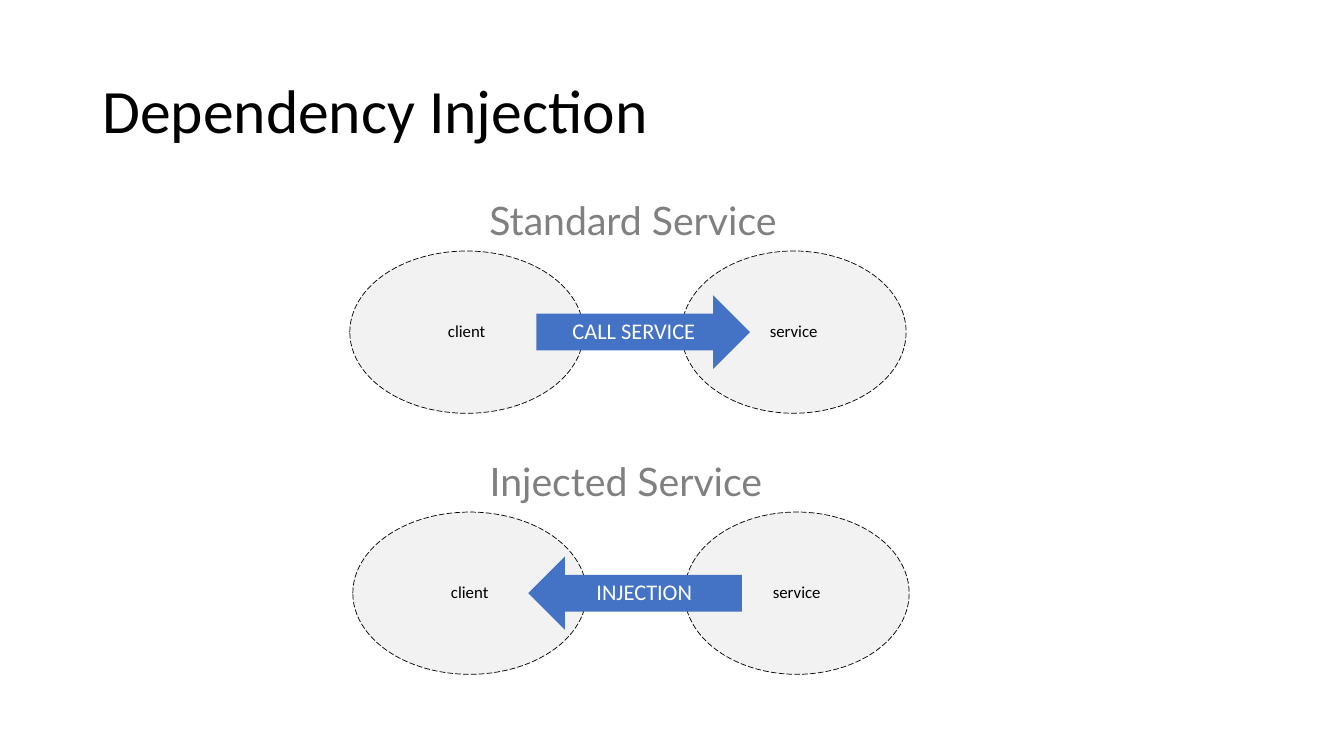
from dataclasses import dataclass

from pptx import Presentation
from pptx.dml.color import RGBColor
from pptx.enum.dml import MSO_LINE
from pptx.enum.shapes import MSO_SHAPE
from pptx.enum.text import MSO_ANCHOR, PP_ALIGN
from pptx.shapes.autoshape import Shape
from pptx.shapes.shapetree import GroupShapes
from pptx.slide import Slide
from pptx.util import Pt

ELLIPSE = MSO_SHAPE.OVAL
LEFT_ARROW = MSO_SHAPE.LEFT_ARROW
RIGHT_ARROW = MSO_SHAPE.RIGHT_ARROW
LONG_DASH = MSO_LINE.LONG_DASH
LEFT, CENTER = PP_ALIGN.LEFT, PP_ALIGN.CENTER
TOP, MIDDLE = MSO_ANCHOR.TOP, MSO_ANCHOR.MIDDLE

COLORS = {
    "ink": "000000",
    "heading": "808080",
    "bubble": "F2F2F2",
    "arrow": "4472C4",
    "arrow_text": "FFFFFF",
}
BODY_FONT, HEADING_FONT = "Calibri", "Lato"

# Lengths in points
CLIENT_WIDTH, SERVICE_WIDTH, BUBBLE_HEIGHT = 167.04, 160.56, 115.92
SERVICE_OFFSET = 236.88
ARROW_WIDTH, ARROW_HEIGHT = 152.64, 52.56
HEADING_WIDTH, HEADING_HEIGHT = 400.32, 41.04
SHAPE_MARGINS = (14.4, 11.52)
BOX_MARGINS = (7.2, 3.6)


@dataclass(frozen=True)
class Diagram:
    heading: str
    heading_left: float
    heading_top: float
    left: float
    top: float
    arrow_kind: MSO_SHAPE
    arrow_left: float
    arrow_text: str


DIAGRAMS = (
    Diagram("Standard Service", 252, 136.8, 249.84, 179.28,
            RIGHT_ARROW, 383.04, "CALL SERVICE"),
    Diagram("Injected Service", 246.96, 323.28, 252, 365.76,
            LEFT_ARROW, 377.28, "INJECTION"),
)


def color(name: str) -> RGBColor:
    return RGBColor.from_string(COLORS[name])


def write_text(box: Shape, text: str, *, size: float, ink: str = "ink",
               font: str = BODY_FONT, align: PP_ALIGN = CENTER,
               anchor: MSO_ANCHOR = MIDDLE, spacing: float = 0.9,
               margins: tuple[float, float] = SHAPE_MARGINS) -> None:
    frame = box.text_frame
    frame.word_wrap = True
    frame.vertical_anchor = anchor
    frame.margin_left = frame.margin_right = Pt(margins[0])
    frame.margin_top = frame.margin_bottom = Pt(margins[1])
    para = frame.paragraphs[0]
    para.alignment = align
    para.line_spacing = spacing
    span = para.add_run()
    span.text = text
    span.font.name = font
    span.font.size = Pt(size)
    span.font.color.rgb = color(ink)


def add_filled_shape(shapes: GroupShapes, kind: MSO_SHAPE, left: float, top: float,
                     width: float, height: float, fill: str) -> Shape:
    shape = shapes.add_shape(kind, Pt(left), Pt(top), Pt(width), Pt(height))
    shape.shadow.inherit = False
    shape.fill.solid()
    shape.fill.fore_color.rgb = color(fill)
    shape.line.fill.background()
    return shape


def add_bubble(shapes: GroupShapes, text: str, left: float, top: float,
               width: float) -> None:
    bubble = add_filled_shape(shapes, ELLIPSE, left, top, width, BUBBLE_HEIGHT, "bubble")
    bubble.line.color.rgb = color("ink")
    bubble.line.width = Pt(0.5)
    bubble.line.dash_style = LONG_DASH
    write_text(bubble, text, size=12)


def add_diagram(page: Slide, diagram: Diagram) -> None:
    """Draw a heading over two bubbles joined by a labelled arrow."""
    shapes = page.shapes.add_group_shape().shapes
    add_bubble(shapes, "client", diagram.left, diagram.top, CLIENT_WIDTH)
    add_bubble(shapes, "service", diagram.left + SERVICE_OFFSET, diagram.top,
               SERVICE_WIDTH)
    arrow_top = diagram.top + (BUBBLE_HEIGHT - ARROW_HEIGHT) / 2
    arrow = add_filled_shape(shapes, diagram.arrow_kind, diagram.arrow_left, arrow_top,
                             ARROW_WIDTH, ARROW_HEIGHT, "arrow")
    write_text(arrow, diagram.arrow_text, size=16, ink="arrow_text")

    heading = page.shapes.add_textbox(Pt(diagram.heading_left), Pt(diagram.heading_top),
                                      Pt(HEADING_WIDTH), Pt(HEADING_HEIGHT))
    write_text(heading, diagram.heading, size=28, ink="heading", font=HEADING_FONT,
               anchor=TOP, spacing=1.0, margins=BOX_MARGINS)


def main() -> None:
    deck = Presentation()
    deck.slide_width, deck.slide_height = Pt(960), Pt(540)
    page = deck.slides.add_slide(deck.slide_layouts[6])
    title = page.shapes.add_textbox(Pt(66), Pt(28.75), Pt(828), Pt(104.4))
    write_text(title, "Dependency Injection", size=44, align=LEFT, margins=BOX_MARGINS)
    for diagram in DIAGRAMS:
        add_diagram(page, diagram)
    deck.save("out.pptx")


if __name__ == "__main__":
    main()
